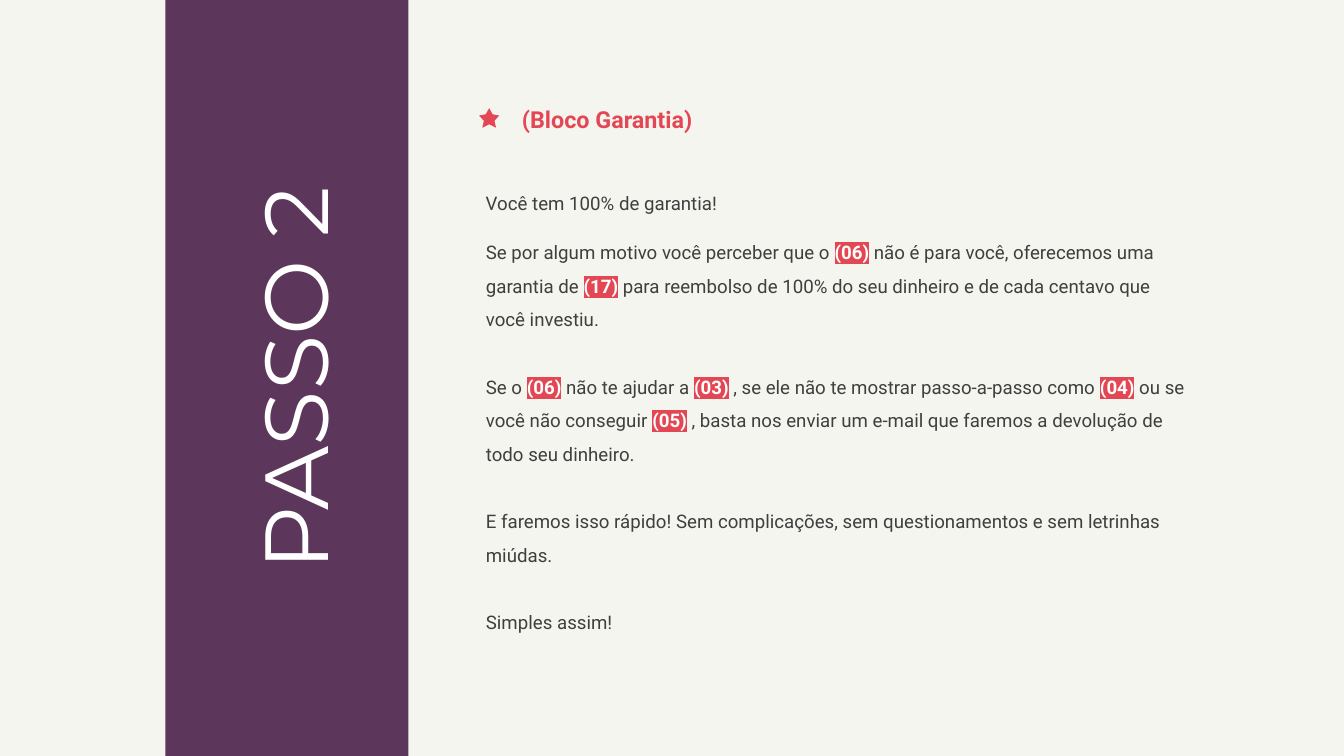
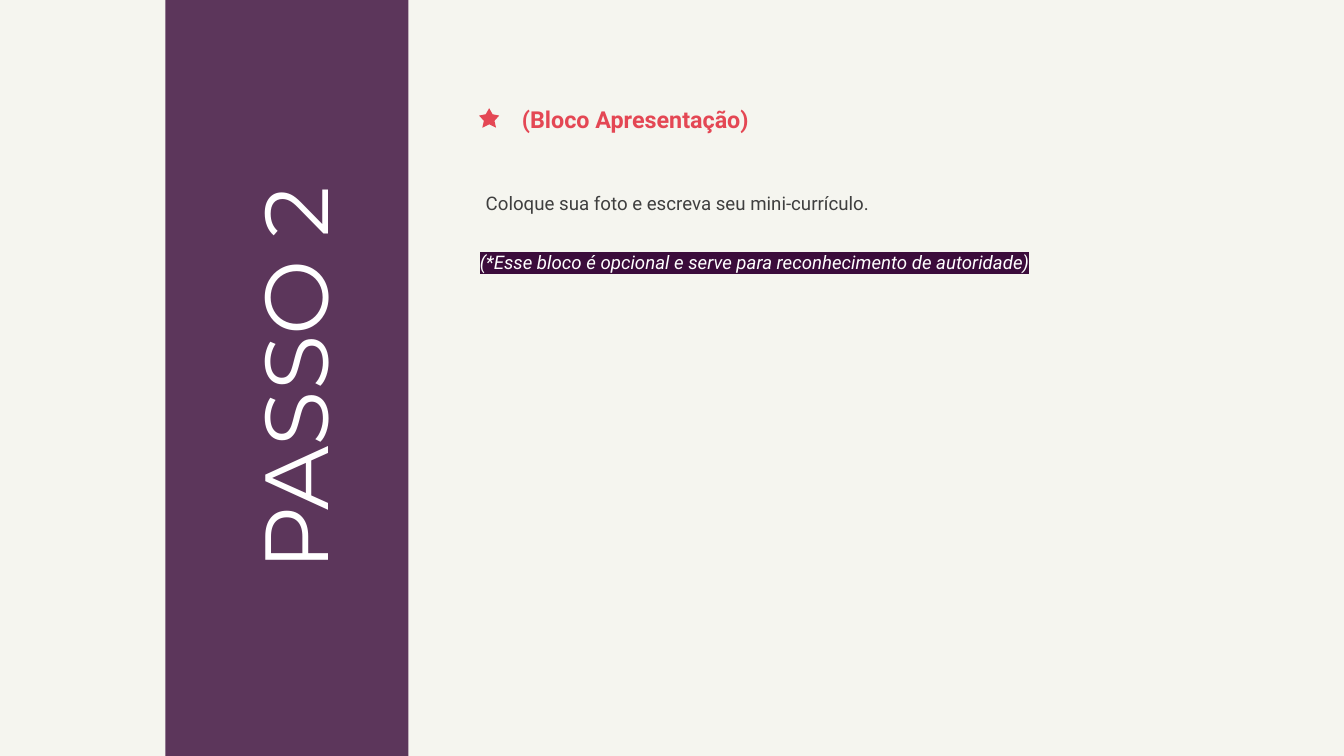
import pptx
import pptx.util
import pptx.dml.color
import pptx.enum.shapes
import pptx.enum.text
import pptx.oxml
import pptx.oxml.ns
from pptx.util import Cm

COLORS = {
    "background": "F5F5EF",
    "plum": "3B0C3B",
    "red": "E44754",
    "text": "3F3F3F",
    "white": "FFFFFF",
}
STEP = "PASSO 2"
MARK = "|"
SLIDES = [
    {
        "heading": "(Bloco Garantia)",
        "intro": "Você tem 100% de garantia!",
        "body": [
            "Se por algum motivo você perceber que o |(06)| não é para você, oferecemos uma "
            "garantia de |(17)| para reembolso de 100% do seu dinheiro e de cada centavo que "
            "você investiu.",
            "Se o |(06)| não te ajudar a |(03)| , se ele não te mostrar passo-a-passo como "
            "|(04)| ou se você não conseguir |(05)| , basta nos enviar um e-mail que faremos "
            "a devolução de todo seu dinheiro.",
            "E faremos isso rápido! Sem complicações, sem questionamentos e sem letrinhas "
            "miúdas.",
            "Simples assim!",
        ],
        "body_box": (18.11, 8.56, 27.2, 15.49),
        "mark_style": {"color": "white", "bold": True, "highlight": "red"},
    },
    {
        "heading": "(Bloco Apresentação)",
        "intro": "Coloque sua foto e escreva seu mini-currículo.",
        "body": ["|(*Esse bloco é opcional e serve para reconhecimento de autoridade)|"],
        "body_box": (17.88, 8.92, 27.43, 1.4),
        "mark_style": {"color": "white", "italic": True, "highlight": "plum"},
    },
]

SLIDE_W, SLIDE_H = 50.8, 28.58
BAND_BOX = (6.25, 0, 9.19, SLIDE_H)
STEP_BOX = (1.98, 12.12, 18.24, 4.37)
HEADING_BOX = (19.48, 3.84, 26.77, 1.32)
INTRO_BOX = (18.11, 6.71, 27.2, 1.4)
STAR_TOP = (1849, 409)
STAR_RIGHT_HALF = [(13, 23), (38, 28), (20, 48), (26, 74)]
STAR_BOTTOM = (0, 61)


def rgb(name):
    return pptx.dml.color.RGBColor.from_string(COLORS[name])


def add_xml(parent, tag, **attributes):
    child = pptx.oxml.parse_xml(f"<a:{tag} {pptx.oxml.ns.nsdecls('a')}/>")
    for key, value in attributes.items():
        child.set(key, value)
    parent.append(child)
    return child


def format_run(r, size, color="text", font="Roboto", bold=False, italic=False, highlight=None):
    r.font.size = pptx.util.Pt(size)
    r.font.bold = bold
    r.font.italic = italic
    r.font.color.rgb = rgb(color)
    if highlight:
        mark = add_xml(r.font._element, "highlight")
        add_xml(mark, "srgbClr", val=COLORS[highlight])
    r.font.name = font


def place(sp, box):
    sp.left, sp.top, sp.width, sp.height = map(Cm, box)


def prepare(tf):
    tf.word_wrap = True
    tf.vertical_anchor = pptx.enum.text.MSO_ANCHOR.TOP
    tf.auto_size = pptx.enum.text.MSO_AUTO_SIZE.SHAPE_TO_FIT_TEXT


def paint(sp, color):
    sp.shadow.inherit = False
    sp.fill.solid()
    sp.fill.fore_color.rgb = rgb(color)
    sp.line.fill.background()


def add_band(s):
    sp = s.shapes.add_shape(pptx.enum.shapes.MSO_SHAPE.RECTANGLE, *map(Cm, BAND_BOX))
    paint(sp, "plum")
    add_xml(sp.fill._xPr.find(".//" + pptx.oxml.ns.qn("a:srgbClr")), "alpha", val="82000")
    s.shapes._spTree.insert(2, sp._element)


def add_star(s):
    left_half = [(-x, y) for x, y in reversed(STAR_RIGHT_HALF)]
    x0, y0 = STAR_TOP
    builder = s.shapes.build_freeform(x0, y0, scale=Cm(0.01))
    points = STAR_RIGHT_HALF + [STAR_BOTTOM] + left_half
    builder.add_line_segments([(x0 + x, y0 + y) for x, y in points], close=True)
    paint(builder.convert_to_shape(), "red")


def add_step(s):
    sp = s.shapes.title
    place(sp, STEP_BOX)
    sp.rotation = 270
    tf = sp.text_frame
    prepare(tf)
    tf.text = STEP
    p = tf.paragraphs[0]
    p.alignment = pptx.enum.text.PP_ALIGN.CENTER
    format_run(p.runs[0], 96, "white", "Montserrat")


def add_text(s, text, box, line_spacing=1, **style):
    tf = s.shapes.add_textbox(*map(Cm, box)).text_frame
    prepare(tf)
    tf.text = text
    p = tf.paragraphs[0]
    p.line_spacing = line_spacing
    format_run(p.runs[0], **style)


def add_body(s, content):
    sp = s.placeholders[1]
    place(sp, content["body_box"])
    tf = sp.text_frame
    prepare(tf)
    for i, text in enumerate(content["body"]):
        p = tf.paragraphs[0] if i == 0 else tf.add_paragraph()
        p.line_spacing = 1.5
        p.space_before = pptx.util.Pt(36 if i else 0)
        pPr = p._p.get_or_add_pPr()
        pPr.set("marL", "0")
        pPr.set("indent", "0")
        add_xml(pPr, "buNone")
        for j, part in enumerate(text.split(MARK)):
            if part:
                r = p.add_run()
                r.text = part
                format_run(r, 20, **(content["mark_style"] if j % 2 else {}))


def main():
    prs = pptx.Presentation()
    prs.slide_width, prs.slide_height = Cm(SLIDE_W), Cm(SLIDE_H)
    background = prs.slide_master.background.fill
    background.solid()
    background.fore_color.rgb = rgb("background")
    for content in SLIDES:
        s = prs.slides.add_slide(prs.slide_layouts[1])
        add_band(s)
        add_step(s)
        add_star(s)
        add_text(s, content["heading"], HEADING_BOX, size=25, color="red", bold=True)
        add_text(s, content["intro"], INTRO_BOX, line_spacing=1.5, size=20)
        add_body(s, content)
    prs.save("out.pptx")


if __name__ == "__main__":
    main()
